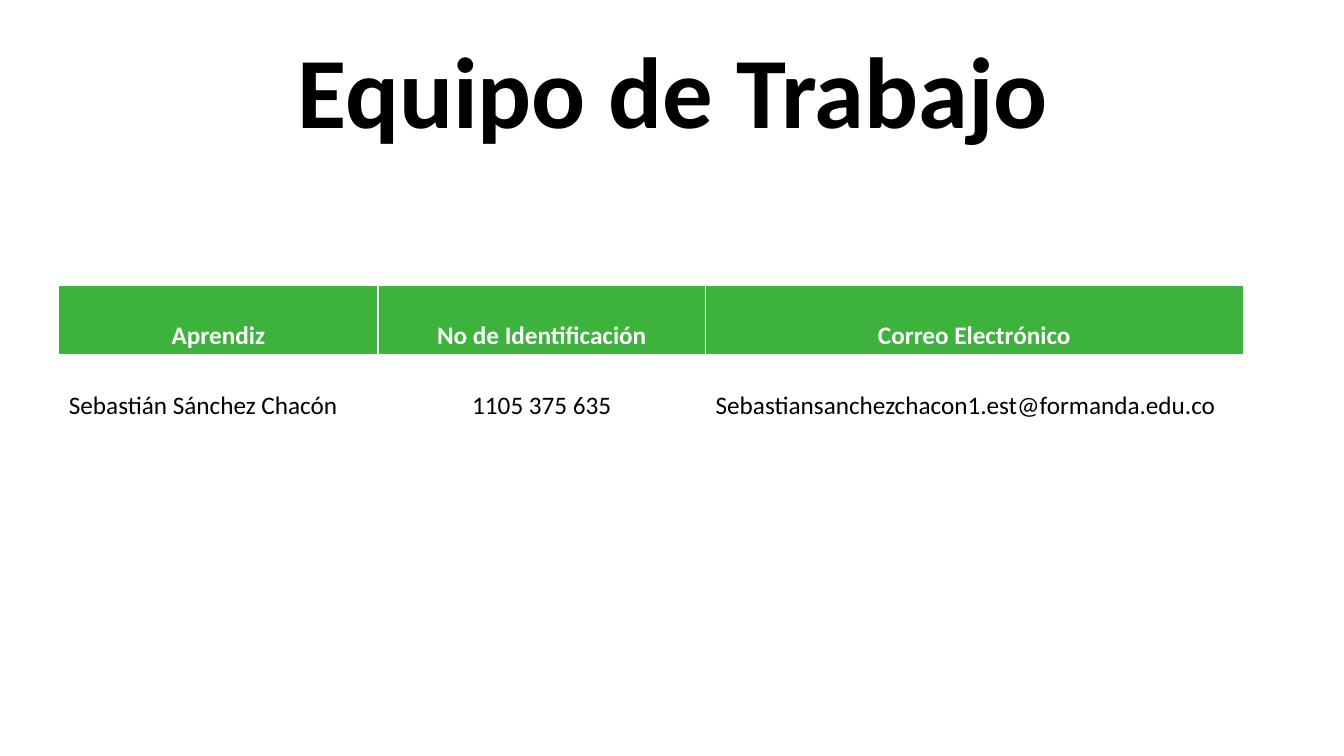
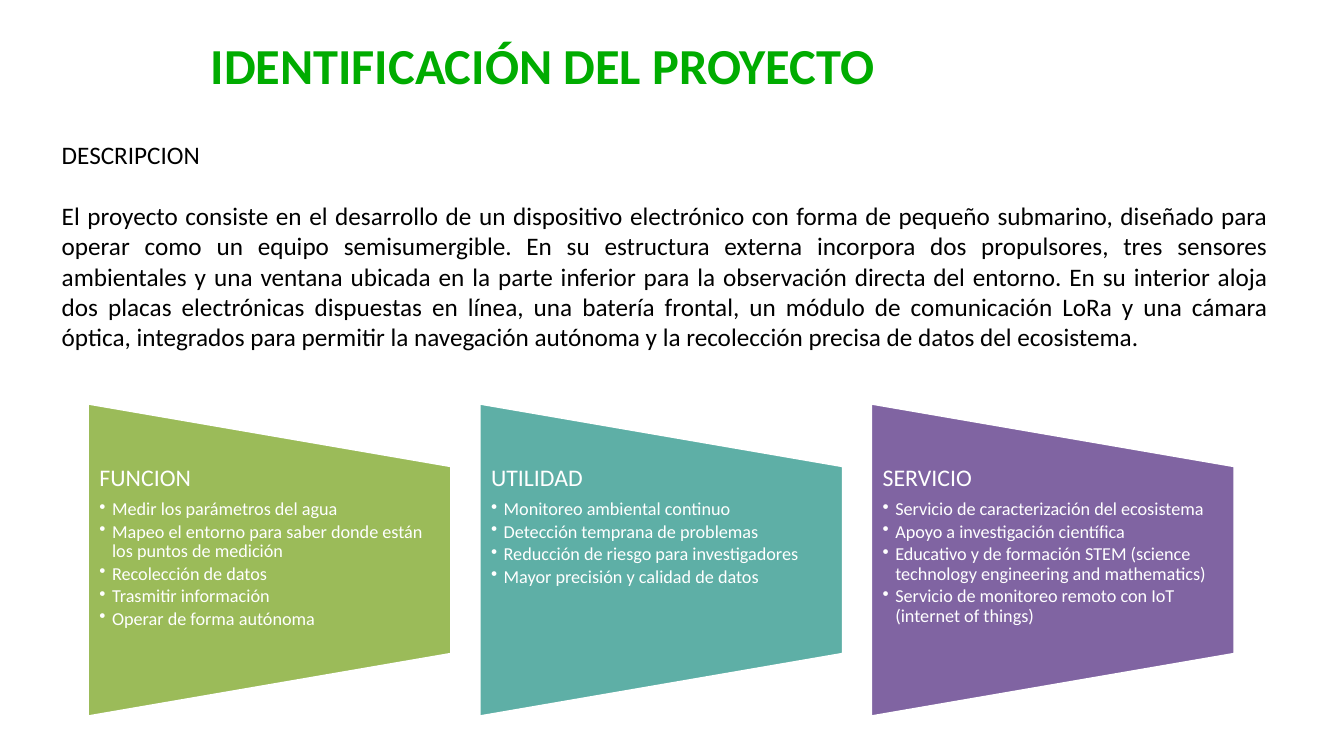
import pptx
import pptx.util
import pptx.dml.color
import pptx.enum.shapes
import pptx.enum.text
import pptx.oxml
import pptx.oxml.ns

Pt = pptx.util.Pt
RGBColor = pptx.dml.color.RGBColor
ALIGN = pptx.enum.text.PP_ALIGN
ANCHOR = pptx.enum.text.MSO_ANCHOR

FONT = "Calibri"
BLACK = RGBColor(0x00, 0x00, 0x00)
WHITE = RGBColor(0xFF, 0xFF, 0xFF)
TITLE_GREEN = RGBColor(0x00, 0xAC, 0x00)
HEADER_GREEN = RGBColor(0x3D, 0xB2, 0x3D)
LIME = RGBColor(0x9B, 0xBB, 0x59)
TEAL = RGBColor(0x5E, 0xAF, 0xA6)
PURPLE = RGBColor(0x80, 0x64, 0xA2)

TEAM = [
    ["Aprendiz", "No de Identificación", "Correo Electrónico"],
    ["Sebastián Sánchez Chacón", "1105 375 635",
     "Sebastiansanchezchacon1.est@formanda.edu.co"],
]

DESCRIPTION = (
    "El proyecto consiste en el desarrollo de un dispositivo electrónico con "
    "forma de pequeño submarino, diseñado para operar como un equipo "
    "semisumergible. En su estructura externa incorpora dos propulsores, tres "
    "sensores ambientales y una ventana ubicada en la parte inferior para la "
    "observación directa del entorno. En su interior aloja dos placas "
    "electrónicas dispuestas en línea, una batería frontal, un módulo de "
    "comunicación LoRa y una cámara óptica, integrados para permitir la "
    "navegación autónoma y la recolección precisa de datos del ecosistema."
)

CARDS = [
    ("FUNCION", LIME, [
        "Medir los parámetros del agua",
        "Mapeo el entorno para saber donde están los puntos de medición",
        "Recolección de datos",
        "Trasmitir información",
        "Operar de forma autónoma",
    ]),
    ("UTILIDAD", TEAL, [
        "Monitoreo ambiental continuo",
        "Detección temprana de problemas",
        "Reducción de riesgo para investigadores",
        "Mayor precisión y calidad de datos",
    ]),
    ("SERVICIO", PURPLE, [
        "Servicio de caracterización del ecosistema",
        "Apoyo a investigación científica",
        "Educativo y de formación STEM (science technology engineering and "
        "mathematics)",
        "Servicio de monitoreo remoto con IoT (internet of things)",
    ]),
]


def add_run(paragraph, text, size, color, bold=False):
    run = paragraph.add_run()
    run.text = text
    run.font.name = FONT
    run.font.size = Pt(size)
    run.font.bold = bold
    run.font.color.rgb = color


def add_text_frame(slide, box, insets):
    """Add a wrapping text box; insets are left, top, right, bottom."""
    frame = slide.shapes.add_textbox(*map(Pt, box)).text_frame
    frame.word_wrap = True
    (frame.margin_left, frame.margin_top,
     frame.margin_right, frame.margin_bottom) = map(Pt, insets)
    return frame


def add_title(slide, box, insets, text, size, color):
    frame = add_text_frame(slide, box, insets)
    add_run(frame.paragraphs[0], text, size, color, bold=True)


def set_borders(cell, bottom_width):
    """Draw white borders, 1 pt wide except at the bottom."""
    properties = cell._tc.get_or_add_tcPr()
    widths = {"lnL": 1, "lnR": 1, "lnT": 1, "lnB": bottom_width}
    for position, (side, width) in enumerate(widths.items()):
        properties.insert(position, pptx.oxml.parse_xml(
            f'<a:{side} {pptx.oxml.ns.nsdecls("a")} w="{Pt(width)}">'
            f'<a:solidFill><a:srgbClr val="{WHITE}"/></a:solidFill></a:{side}>'))


def add_team_table(slide, left, top, column_widths, row_height):
    table = slide.shapes.add_table(
        len(TEAM), len(column_widths), Pt(left), Pt(top),
        Pt(sum(column_widths)), Pt(row_height * len(TEAM))).table
    table.horz_banding = False
    for column, width in zip(table.columns, column_widths):
        column.width = Pt(width)
    for row_index, texts in enumerate(TEAM):
        header = row_index == 0
        for column_index, text in enumerate(texts):
            cell = table.cell(row_index, column_index)
            cell.vertical_anchor = ANCHOR.BOTTOM
            if header:
                cell.fill.solid()
                cell.fill.fore_color.rgb = HEADER_GREEN
            else:
                cell.fill.background()
            set_borders(cell, 3 if header else 1)
            paragraph = cell.text_frame.paragraphs[0]
            centred = header or column_index == 1
            paragraph.alignment = ALIGN.CENTER if centred else ALIGN.LEFT
            add_run(paragraph, text, 18, WHITE if header else BLACK, header)


def add_description(slide, box):
    frame = add_text_frame(slide, box, (7.2, 3.6, 7.2, 3.6))
    add_run(frame.paragraphs[0], "DESCRIPCION", 18, BLACK)
    body = frame.add_paragraph()
    body.alignment = ALIGN.JUSTIFY
    body.space_before = Pt(22)
    add_run(body, DESCRIPTION, 18, BLACK)


def add_bullet(paragraph, indent):
    properties = paragraph._p.get_or_add_pPr()
    properties.set("marL", str(Pt(indent)))
    properties.set("indent", str(-Pt(indent)))
    properties.append(pptx.oxml.parse_xml(
        f'<a:buChar {pptx.oxml.ns.nsdecls("a")} char="•"/>'))


def add_card(slide, box, heading, color, points):
    """Add a trapezoid narrowing to the right, with its heading and bullets."""
    left, top, width, height = box
    # The preset narrows downwards, so it is laid out upright and then turned.
    shift = (width - height) / 2
    panel = slide.shapes.add_shape(
        pptx.enum.shapes.MSO_SHAPE.FLOWCHART_MANUAL_OPERATION,
        Pt(left + shift), Pt(top - shift), Pt(height), Pt(width))
    panel.rotation = 270
    panel.shadow.inherit = False
    panel.fill.solid()
    panel.fill.fore_color.rgb = color
    panel.line.color.rgb = WHITE
    panel.line.width = Pt(2)

    frame = add_text_frame(
        slide, (left, top + height / 5, width, height * 3 / 5), (8.5, 0, 8.5, 0))
    title = frame.paragraphs[0]
    title.line_spacing = 0.9
    title.space_after = Pt(6)
    add_run(title, heading, 17, WHITE)
    for point in points:
        item = frame.add_paragraph()
        add_bullet(item, 9)
        item.line_spacing = 0.9
        item.space_after = Pt(2)
        add_run(item, point, 13, WHITE)


def add_cards(slide, left, top, width, height, gap):
    for index, card in enumerate(CARDS):
        add_card(slide, (left + index * (width + gap), top, width, height), *card)


def build_team_slide(slide):
    add_title(slide, (212.5, 18, 544, 88), (0, 1.5, 0, 0),
              "Equipo de Trabajo", 72, BLACK)
    add_team_table(slide, 42, 204, (228, 234, 384), 50.4)


def build_project_slide(slide):
    add_title(slide, (36, 18, 660, 49), (114.5, 6.5, 0, 0),
              "IDENTIFICACIÓN DEL PROYECTO", 36, TITLE_GREEN)
    add_description(slide, (37, 96, 876, 181))
    add_cards(slide, 62.6, 288, 260, 224, 19.7)


def main():
    deck = pptx.Presentation()
    deck.slide_width, deck.slide_height = Pt(960), Pt(540)
    blank = deck.slide_layouts[6]
    for build in (build_team_slide, build_project_slide):
        build(deck.slides.add_slide(blank))
    deck.save("out.pptx")


if __name__ == "__main__":
    main()
